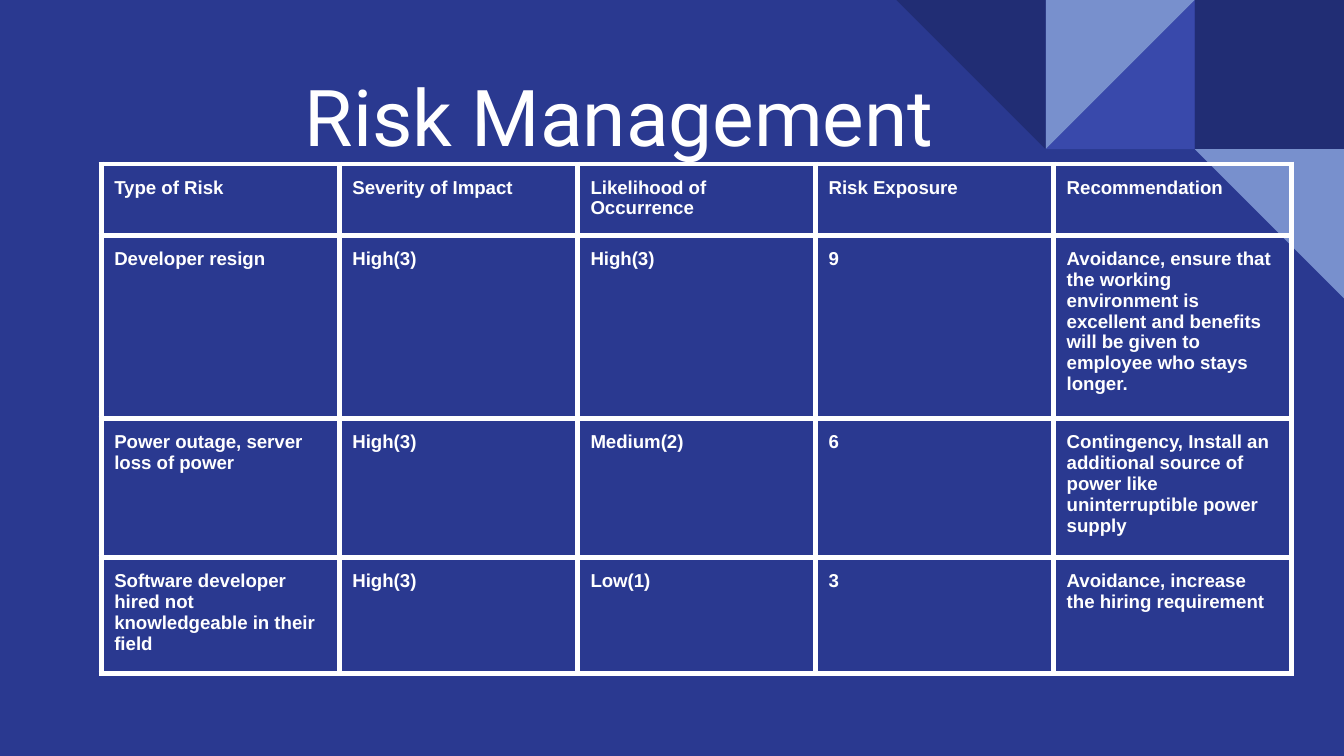
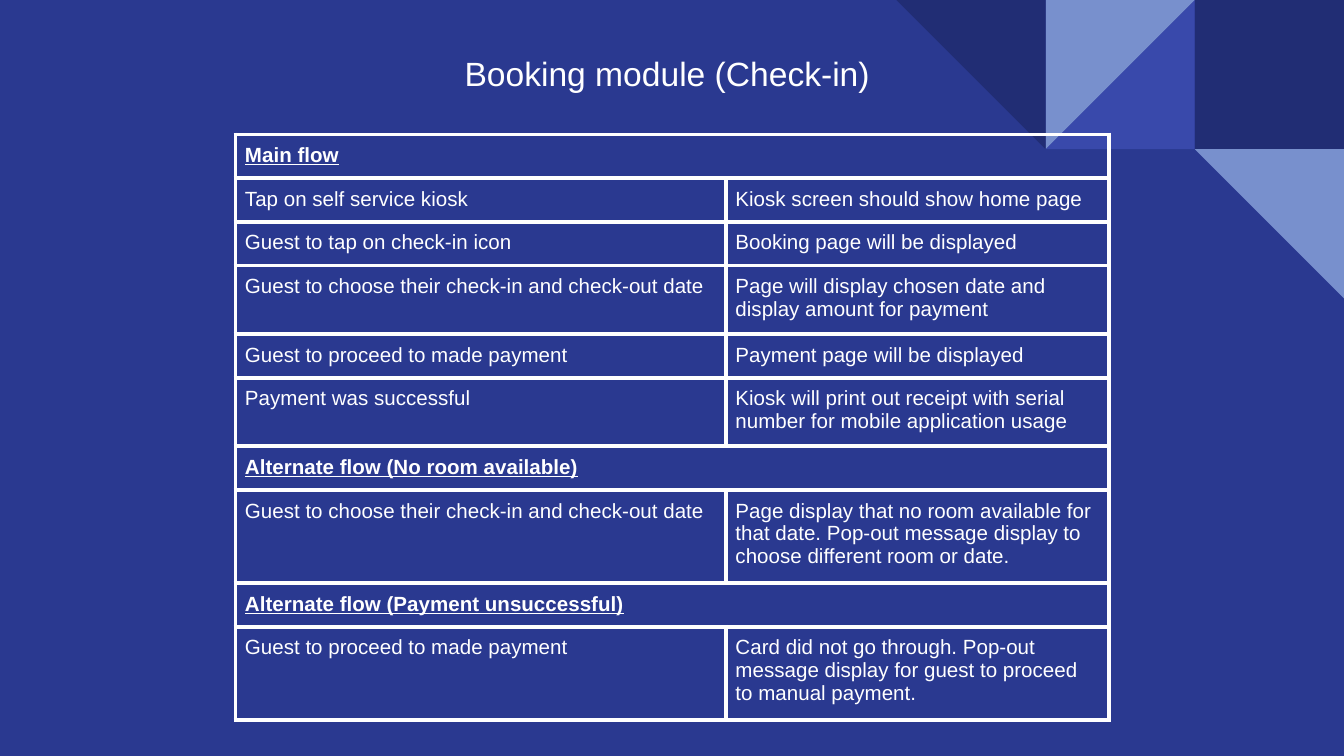
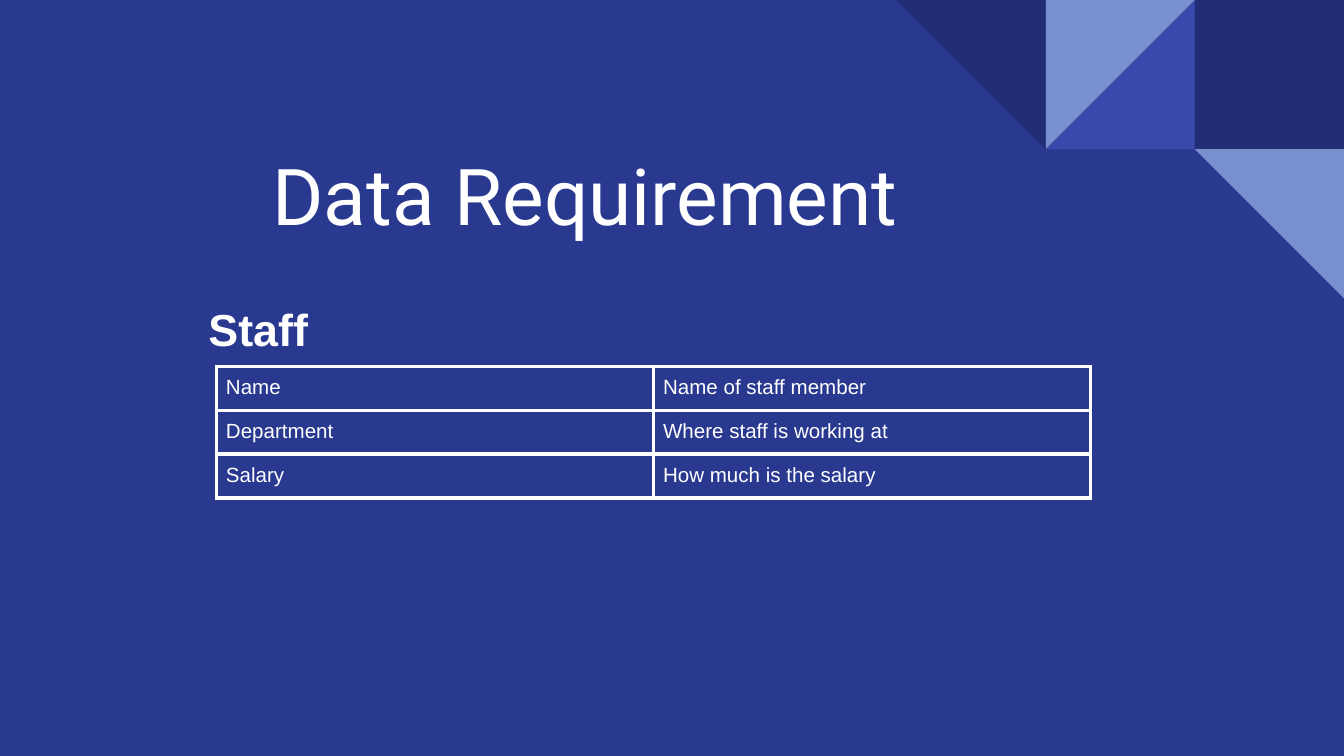
from lxml import etree
from pptx import Presentation
from pptx.dml.color import RGBColor
from pptx.enum.shapes import MSO_SHAPE
from pptx.enum.text import MSO_ANCHOR
from pptx.oxml.ns import qn
from pptx.util import Cm, Pt

RECT, TRIANGLE = MSO_SHAPE.RECTANGLE, MSO_SHAPE.RIGHT_TRIANGLE
TOP, MIDDLE, BOTTOM = MSO_ANCHOR.TOP, MSO_ANCHOR.MIDDLE, MSO_ANCHOR.BOTTOM

BLUE = RGBColor(0x2A, 0x39, 0x90)
NAVY = RGBColor(0x21, 0x2D, 0x74)
INDIGO = RGBColor(0x39, 0x49, 0xAB)
SKY = RGBColor(0x78, 0x90, 0xCD)
WHITE = RGBColor(0xFF, 0xFF, 0xFF)

HEAD_FONT, BODY_FONT = "Roboto", "Arial"
SLIDE_W, SLIDE_H = 25.4, 14.29
TILE = 2.82
ROW_H = 0.74

# Corner tiles: shape, columns from the right edge, row, rotation, colour
TILES = [
    (RECT, 1, 0, 0, NAVY),
    (TRIANGLE, 2, 0, 270, INDIGO),
    (TRIANGLE, 2, 0, 90, SKY),
    (TRIANGLE, 3, 0, 180, NAVY),
    (TRIANGLE, 1, 1, 180, SKY),
]

RISKS = [
    ("Type of Risk", "Severity of Impact", "Likelihood of Occurrence",
     "Risk Exposure", "Recommendation"),
    ("Developer resign", "High(3)", "High(3)", "9",
     "Avoidance, ensure that the working environment is excellent and "
     "benefits will be given to employee who stays longer."),
    ("Power outage, server loss of power", "High(3)", "Medium(2)", "6",
     "Contingency, Install an additional source of power like "
     "uninterruptible power supply"),
    ("Software developer hired not knowledgeable in their field",
     "High(3)", "Low(1)", "3",
     "Avoidance, increase the hiring requirement"),
]

# A row with a single entry is a heading across the table
CHECK_IN = [
    ("Main flow",),
    ("Tap on self service kiosk", "Kiosk screen should show home page"),
    ("Guest to tap on check-in icon", "Booking page will be displayed"),
    ("Guest to choose their check-in and check-out date",
     "Page will display chosen date and display amount for payment"),
    ("Guest to proceed to made payment", "Payment page will be displayed"),
    ("Payment was successful",
     "Kiosk will print out receipt with serial number for mobile "
     "application usage"),
    ("Alternate flow (No room available)",),
    ("Guest to choose their check-in and check-out date",
     "Page display that no room available for that date. Pop-out message "
     "display to choose different room or date."),
    ("Alternate flow (Payment unsuccessful)",),
    ("Guest to proceed to made payment",
     "Card did not go through. Pop-out message display for guest to "
     "proceed to manual payment."),
]

STAFF = [
    ("Name", "Name of staff member"),
    ("Department", "Where staff is working at"),
    ("Salary", "How much is the salary"),
]


class Deck:
    def __init__(self):
        self.prs = Presentation()
        self.prs.slide_width, self.prs.slide_height = Cm(SLIDE_W), Cm(SLIDE_H)
        fill = self.prs.slide_master.background.fill
        fill.solid()
        fill.fore_color.rgb = BLUE
        self.s = None

    def slide(self):
        self.s = self.prs.slides.add_slide(self.prs.slide_layouts[6])
        for kind, col, row, rotation, color in TILES:
            self.tile(kind, SLIDE_W - col * TILE, row * TILE, rotation, color)

    def tile(self, kind, x, y, rotation, color):
        sp = self.s.shapes.add_shape(kind, Cm(x), Cm(y), Cm(TILE), Cm(TILE))
        sp.rotation = rotation
        sp.shadow.inherit = False
        sp.fill.solid()
        sp.fill.fore_color.rgb = color
        sp.line.fill.background()

    def run(self, p, text, size, font=BODY_FONT, bold=False, underline=False):
        r = p.add_run()
        r.text = text
        r.font.name, r.font.size = font, Pt(size)
        r.font.bold, r.font.underline = bold, underline
        r.font.color.rgb = WHITE

    def set_margins(self, box, margin):
        box.margin_left = box.margin_right = Cm(margin)
        box.margin_top = box.margin_bottom = Cm(margin)

    def text(self, x, y, w, h, text, size, anchor=TOP, **style):
        sp = self.s.shapes.add_textbox(Cm(x), Cm(y), Cm(w), Cm(h))
        tf = sp.text_frame
        tf.word_wrap = True
        tf.vertical_anchor = anchor
        self.set_margins(tf, 0.25)
        p = tf.paragraphs[0]
        self.run(p, text, size, **style)
        return p

    def title(self, x, y, text):
        self.text(x, y, 14.88, 4.01, text, 42, BOTTOM, font=HEAD_FONT)

    def borders(self, cell, width):
        tcPr = cell._tc.get_or_add_tcPr()
        for side in ("lnL", "lnR", "lnT", "lnB"):
            ln = etree.SubElement(tcPr, qn("a:" + side), w=str(Pt(width)))
            solid = etree.SubElement(ln, qn("a:solidFill"))
            etree.SubElement(solid, qn("a:srgbClr"), val=str(WHITE))

    def table(self, x, y, widths, heights, rows, size=11, margin=0.18,
              border=2.25, bold=False):
        frame = self.s.shapes.add_table(
            len(rows), len(widths), Cm(x), Cm(y),
            Cm(sum(widths)), Cm(sum(heights)))
        tbl = frame.table
        tbl.first_row = tbl.horz_banding = False
        for column, width in zip(tbl.columns, widths):
            column.width = Cm(width)
        for i, (height, entries) in enumerate(zip(heights, rows)):
            tbl.rows[i].height = Cm(height)
            heading = len(entries) == 1
            for j in range(len(widths)):
                cell = tbl.cell(i, j)
                self.set_margins(cell, margin)
                self.borders(cell, border)
                cell.fill.background()
            if heading:
                tbl.cell(i, 0).merge(tbl.cell(i, len(widths) - 1))
            for j, entry in enumerate(entries):
                p = tbl.cell(i, j).text_frame.paragraphs[0]
                self.run(p, entry, size, bold=bold or heading,
                         underline=heading)


def main():
    deck = Deck()

    # Risk management
    deck.slide()
    deck.title(5.51, -0.69, "Risk Management")
    deck.table(1.91, 3.1, [4.5] * 5, [1.35, 3.43, 2.59, 2.18], RISKS,
               size=10, margin=0.25, border=3, bold=True)

    # Booking module
    deck.slide()
    deck.table(4.45, 2.54, [9.27, 7.24], [ROW_H] * len(CHECK_IN), CHECK_IN)
    deck.text(8.53, 0.76, 8.33, 1.37, "Booking module (Check-in)", 18)

    # Data requirement
    deck.slide()
    deck.title(4.9, 0.79, "Data Requirement")
    deck.table(4.09, 6.93, [8.26] * 2, [ROW_H] * len(STAFF), STAFF)
    p = deck.text(2.67, 3.96, 7.54, 4.37, "Staff", 24, MIDDLE, bold=True)
    p.line_spacing = 1.15
    p._p.get_or_add_pPr().set("marL", str(Cm(1.02)))

    deck.prs.save("out.pptx")


if __name__ == "__main__":
    main()
